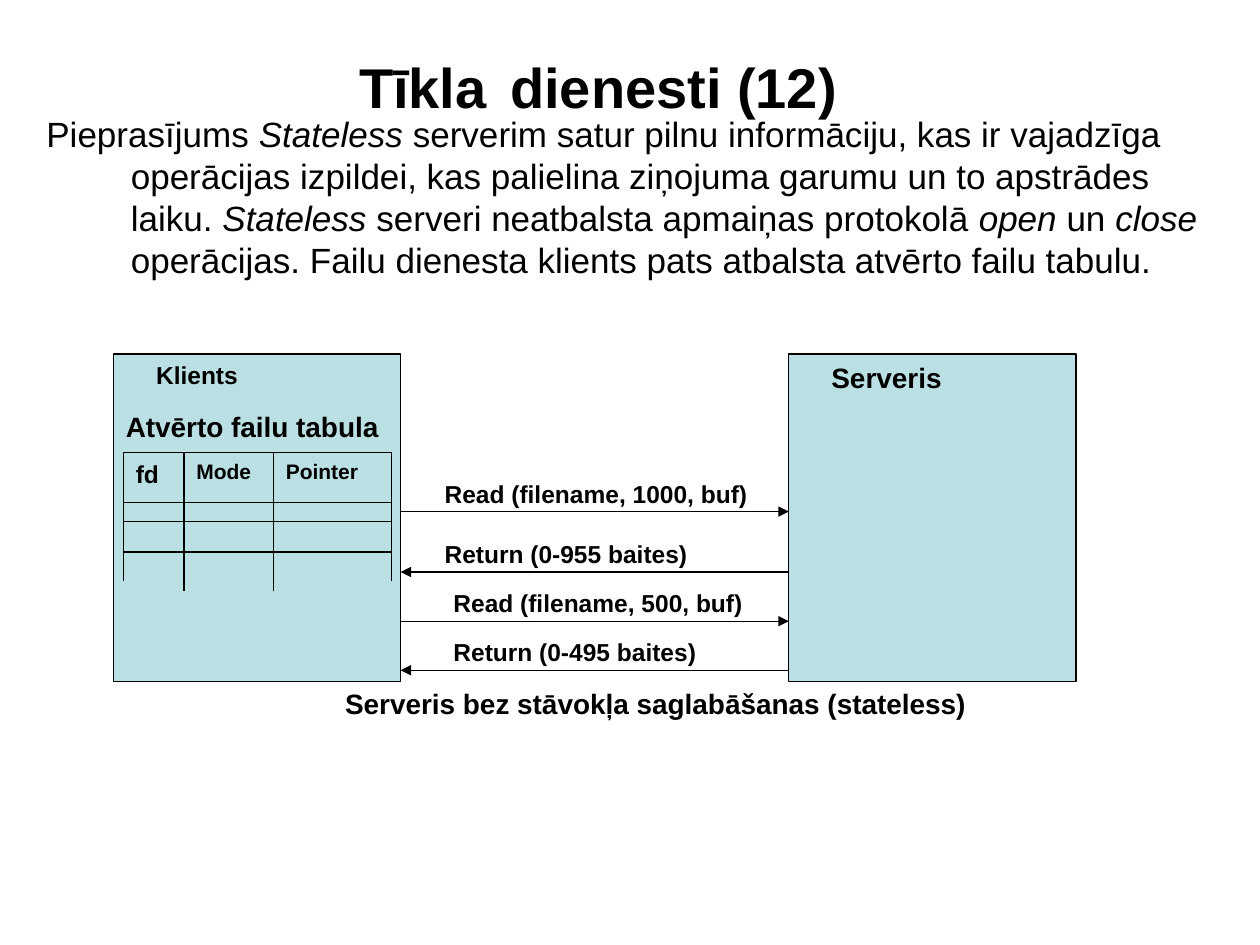
from lxml.etree import SubElement
from pptx import Presentation
from pptx.dml.color import RGBColor
from pptx.enum.shapes import MSO_CONNECTOR, MSO_SHAPE
from pptx.enum.text import MSO_ANCHOR, MSO_AUTO_SIZE, PP_ALIGN
from pptx.oxml.ns import qn
from pptx.util import Inches, Pt

BLACK, AQUA = "000000", "BBE0E3"
CLIENT, SERVER, PANEL_W = 0.9, 6.26, 2.28
TABLE = (0.98, 3.59, 2.13, 0.79)

BODY = [
    ("Pieprasījums ", False),
    ("Stateless", True),
    (" serverim satur pilnu informāciju, kas ir vajadzīga operācijas izpildei, "
     "kas palielina ziņojuma garumu un to apstrādes laiku. ", False),
    ("Stateless", True),
    (" serveri neatbalsta apmaiņas protokolā ", False),
    ("open", True),
    (" un ", False),
    ("close", True),
    (" operācijas. Failu dienesta klients pats atbalsta atvērto failu tabulu.", False),
]
HEADS = [("fd", 0.98, 0.47, 14), ("Mode", 1.46, 0.71, 12), ("Pointer", 2.17, 1.02, 12)]
CALLS = [  # text, text left, arrow height, goes to the server
    ("Read (filename, 1000, buf)", 3.43, 4.06, True),
    ("Return (0-955 baites)", 3.43, 4.54, False),
    ("Read (filename, 500, buf)", 3.5, 4.93, True),
    ("Return (0-495 baites)", 3.5, 5.32, False),
]


def color(code):
    return RGBColor.from_string(code)


def style(para, size, bold=False):
    font = para.font
    font.name, font.size, font.bold = "Arial", Pt(size), bold
    font.color.rgb = color(BLACK)


def indent(para, left, first=0):
    props = para._p.get_or_add_pPr()
    props.set("marL", str(Inches(left)))
    props.set("indent", str(Inches(first)))


def add_title(slide):
    title = slide.shapes.title
    title.left, title.top = Inches(0.9), Inches(0.28)
    title.width, title.height = Inches(7.96), Inches(0.63)
    frame = title.text_frame
    frame.auto_size = MSO_AUTO_SIZE.NONE
    frame.vertical_anchor = MSO_ANCHOR.MIDDLE
    para = frame.paragraphs[0]
    para.alignment = PP_ALIGN.LEFT
    indent(para, 1.85)
    style(para, 32, True)
    for text, size in (("Tīkla", 32), (" ", 48), ("dienesti (12)", 32)):
        run = para.add_run()
        run.text, run.font.size = text, Pt(size)


def add_text(slide, x, y, w, h):
    box = slide.shapes.add_textbox(Inches(x), Inches(y), Inches(w), Inches(h))
    box.text_frame.word_wrap = True
    return box.text_frame.paragraphs[0]


def add_body(slide):
    para = add_text(slide, 0.27, 0.84, 9.37, 6.3)
    indent(para, 0.67, -0.67)
    style(para, 20)
    for text, slant in BODY:
        run = para.add_run()
        run.text, run.font.italic = text, slant


def add_label(slide, text, x, y, w, size):
    para = add_text(slide, x, y, w, 0.37 if size == 16 else 0.34)
    para.text = text
    style(para, size, True)


def add_box(slide, x, y, w, h):
    box = slide.shapes.add_shape(
        MSO_SHAPE.RECTANGLE, Inches(x), Inches(y), Inches(w), Inches(h))
    box.shadow.inherit = False
    box.fill.solid()
    box.fill.fore_color.rgb = color(AQUA)
    box.line.color.rgb = color(BLACK)
    box.line.width = Pt(0.75)


def add_line(slide, x1, y1, x2, y2, arrow=False):
    line = slide.shapes.add_connector(
        MSO_CONNECTOR.STRAIGHT, Inches(x1), Inches(y1), Inches(x2), Inches(y2))
    line.line.color.rgb = color(BLACK)
    line.line.width = Pt(0.75)
    if arrow:
        SubElement(line.line._get_or_add_ln(), qn("a:tailEnd"), type="triangle")
    SubElement(line._element.spPr, qn("a:effectLst"))


def add_files(slide):
    """Draw the open file table, whose column lines run on below it."""
    x, y, w, h = TABLE
    add_box(slide, *TABLE)
    for row in (3.99, 4.14):
        add_line(slide, x, row, x + w, row)
    for col in (1.46, 2.17):
        add_line(slide, col, y, col, 4.69)
    for edge in (x, x + w):
        add_line(slide, edge, y + h, edge, 4.61)
    for text, left, width, size in HEADS:
        add_label(slide, text, left, y, width, size)


def add_calls(slide):
    near, far = CLIENT + PANEL_W, SERVER
    for text, left, y, sent in CALLS:
        start, end = (near, far) if sent else (far, near)
        add_line(slide, start, y, end, y, arrow=True)
        add_label(slide, text, left, y - 0.31, 2.95, 14)


def main():
    deck = Presentation()
    deck.slide_width, deck.slide_height = Inches(10), Inches(7.5)
    slide = deck.slides.add_slide(deck.slide_layouts[5])
    add_title(slide)
    add_body(slide)
    for left in (CLIENT, SERVER):
        add_box(slide, left, 2.81, PANEL_W, 2.6)
    add_label(slide, "Klients", 1.14, 2.81, 1.81, 14)
    add_label(slide, "Serveris", 6.5, 2.81, 1.81, 16)
    add_label(slide, "Atvērto failu tabula", 0.9, 3.2, 2.44, 16)
    add_files(slide)
    add_calls(slide)
    add_label(slide, "Serveris bez stāvokļa saglabāšanas (stateless)", 2.64, 5.4, 5.28, 16)
    deck.save("out.pptx")


if __name__ == "__main__":
    main()
